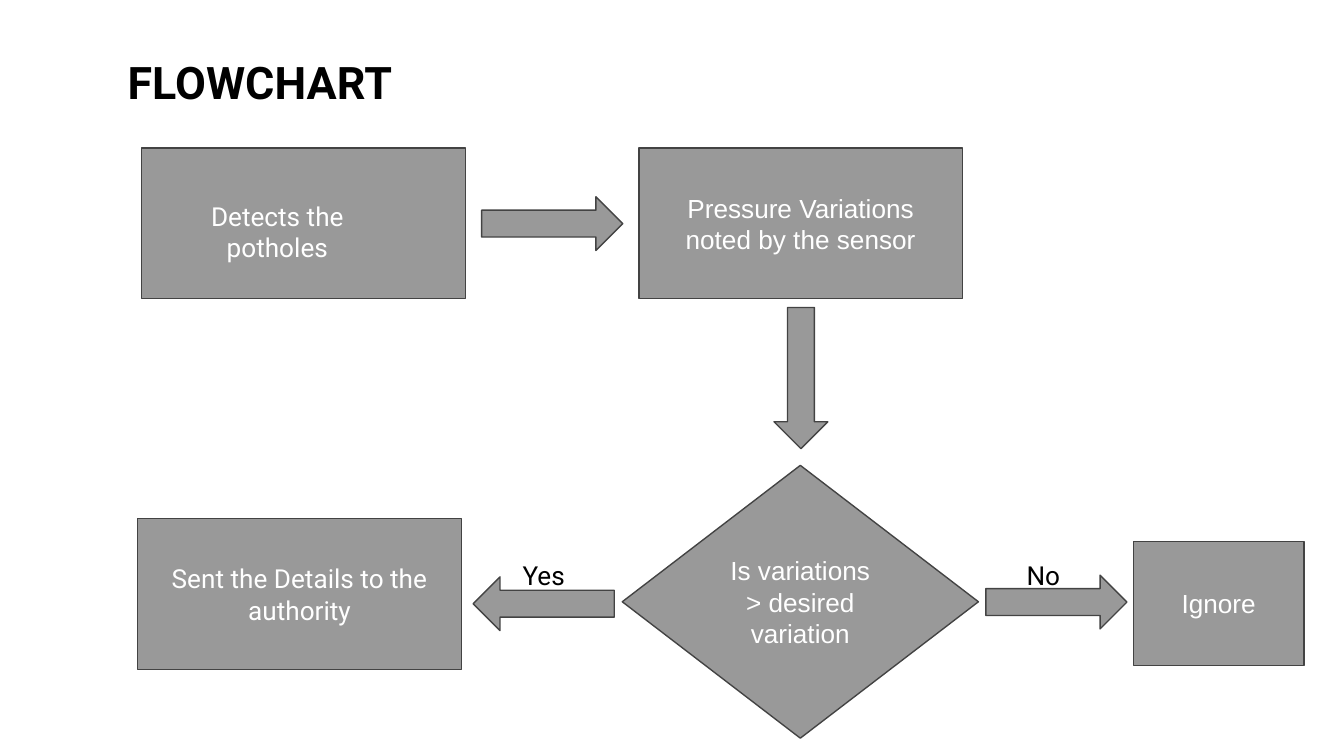
import pptx
import pptx.util
import pptx.dml.color
import pptx.enum.shapes
import pptx.enum.text

SHAPES = pptx.enum.shapes.MSO_SHAPE
ALIGN = pptx.enum.text.PP_ALIGN
ANCHOR = pptx.enum.text.MSO_ANCHOR

WIDTH = pptx.util.Inches(10)
HEIGHT = WIDTH * 9 // 16
GRAY, OUTLINE, WHITE, BLACK = "999999", "434343", "FFFFFF", "000000"

# All lengths are percentages of the slide's width.
STEP_SIZE = (24.1, 11.2)
ARROW_SIZE = (10.5, 4)
LABEL_SIZE = (6.4, 2.8)
STEP_TOP = 11.02
LABEL_TOP = 40.6


def share(percent):
    return round(WIDTH * percent / 100)


def box(left, top, size):
    return [share(value) for value in (left, top, *size)]


def color(hex_string):
    return pptx.dml.color.RGBColor.from_string(hex_string)


def write(shape, text, font, ink, size=14, align=ALIGN.CENTER, anchor=ANCHOR.TOP):
    frame = shape.text_frame
    frame.text = text
    frame.word_wrap = True
    frame.auto_size = pptx.enum.text.MSO_AUTO_SIZE.NONE
    frame.vertical_anchor = anchor
    frame.margin_left = frame.margin_right = share(1)
    frame.margin_top = frame.margin_bottom = share(1)
    paragraph = frame.paragraphs[0]
    paragraph.alignment = align
    paragraph.font.name = font
    paragraph.font.size = pptx.util.Pt(size)
    paragraph.font.color.rgb = color(ink)
    return paragraph


def add_block(slide, kind, left, top, size):
    """Add a gray outlined shape."""
    shape = slide.shapes.add_shape(kind, *box(left, top, size))
    shape.shadow.inherit = False
    shape.fill.solid()
    shape.fill.fore_color.rgb = color(GRAY)
    shape.line.color.rgb = color(OUTLINE)
    shape.line.width = pptx.util.Pt(0.75)
    return shape


def add_step(slide, text, left, top, size=STEP_SIZE, font="Arial", kind=SHAPES.RECTANGLE):
    shape = add_block(slide, kind, left, top, size)
    write(shape, text, font, WHITE, anchor=ANCHOR.MIDDLE)


def add_arrow(slide, left, top, rotation=0):
    add_block(slide, SHAPES.RIGHT_ARROW, left, top, ARROW_SIZE).rotation = rotation


def add_text(slide, text, left, top, size, ink=BLACK, align=ALIGN.LEFT):
    shape = slide.shapes.add_textbox(*box(left, top, size))
    write(shape, text, "Roboto", ink, align=align)


def set_title(slide, text):
    title = slide.shapes.title
    title.left, title.top, title.width, title.height = box(8.5, 3.1, (80.3, 5.7))
    write(title, text, "Roboto", BLACK, 24, ALIGN.LEFT).font.bold = True


def main():
    presentation = pptx.Presentation()
    presentation.slide_width, presentation.slide_height = WIDTH, HEIGHT
    slide = presentation.slides.add_slide(presentation.slide_layouts[5])
    set_title(slide, "FLOWCHART")

    add_block(slide, SHAPES.RECTANGLE, 10.53, STEP_TOP, STEP_SIZE)
    add_text(slide, "Detects the potholes", 10.94, 13.9, (19.4, 5.9), WHITE, ALIGN.CENTER)
    add_step(slide, "Pressure Variations noted by the sensor", 47.53, STEP_TOP)
    add_step(slide, "Is variations > desired variation", 46.3, 34.63, (26.5, 20.3),
             kind=SHAPES.FLOWCHART_DECISION)
    add_step(slide, "Sent the Details to the authority", 10.24, 38.6, font="Roboto")
    add_step(slide, "Ignore", 84.33, 40.3, (12.7, 9.2))

    add_arrow(slide, 35.84, 14.64)
    add_arrow(slide, 54.34, 26.13, rotation=90)
    add_arrow(slide, 35.2, 42.92, rotation=180)
    add_arrow(slide, 73.35, 42.8)

    add_text(slide, "Yes", 37.9, LABEL_TOP, LABEL_SIZE)
    add_text(slide, "No", 75.4, LABEL_TOP, LABEL_SIZE)
    presentation.save("out.pptx")


if __name__ == "__main__":
    main()
